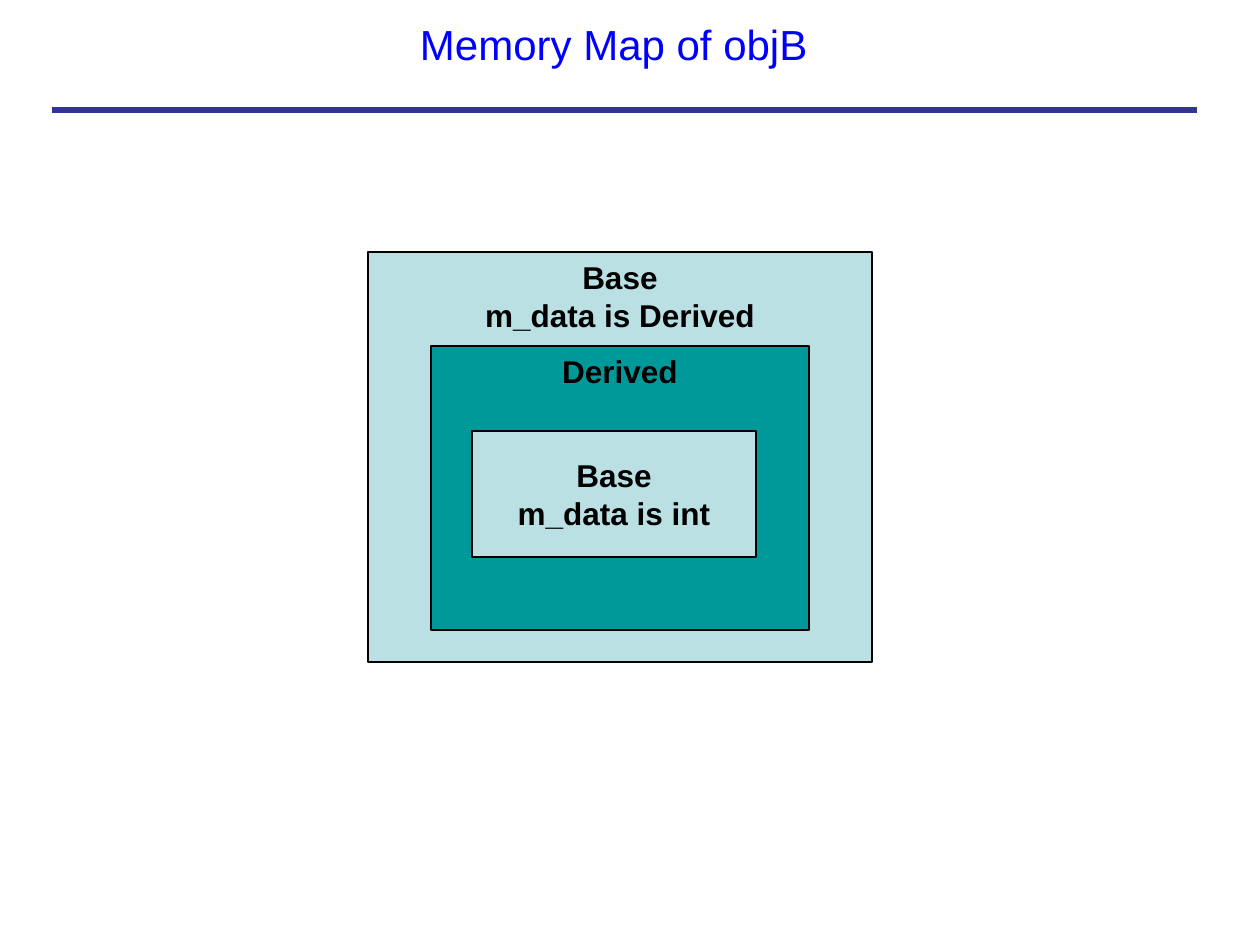
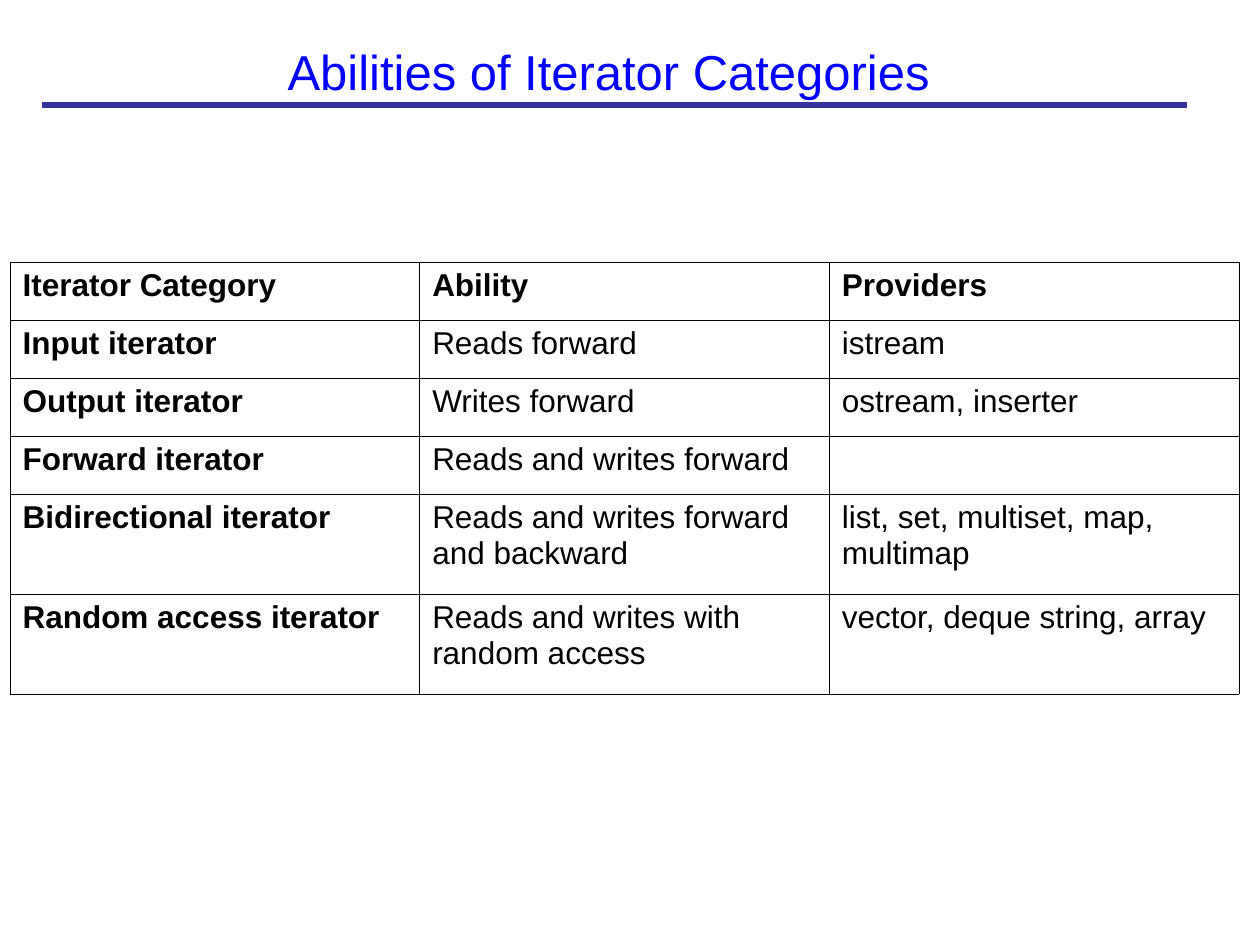
from dataclasses import dataclass

from lxml.etree import SubElement as Sub
from pptx import Presentation
from pptx.dml.color import RGBColor as Rgb
from pptx.enum.shapes import MSO_CONNECTOR as Link, MSO_SHAPE as Kind
from pptx.enum.text import MSO_ANCHOR as Anchor, MSO_AUTO_SIZE as Fit, PP_ALIGN as Align
from pptx.oxml.ns import qn
from pptx.slide import Slide
from pptx.util import Emu, Pt

DPI = 126
FONT = "Arial"
HUES = {
    "title": "0000FF",
    "rule": "333399",
    "base": "BBE0E3",
    "derived": "009999",
    "ink": "000000",
    "paper": "FFFFFF",
}


@dataclass(frozen=True)
class Area:
    x: int
    y: int
    w: int
    h: int

    def emu(self) -> list[Emu]:
        return [px(v) for v in (self.x, self.y, self.w, self.h)]


@dataclass(frozen=True)
class Head:
    text: str
    area: Area
    size: int
    left: int
    rule: int


@dataclass(frozen=True)
class Block:
    text: str
    area: Area
    hue: str
    anchor: Anchor = Anchor.TOP


HEADS = [
    Head("Memory Map of objB ", Area(84, -10, 1071, 108), 24, 52, 110),
    Head("Abilities of Iterator Categories", Area(73, 42, 1071, 57), 28, 42, 105),
]
RULE_W = 1145

BLOCKS = [
    Block("Base\nm_data is Derived", Area(368, 252, 504, 410), "base"),
    Block("Derived", Area(431, 346, 378, 284), "derived"),
    Block("Base\nm_data is int", Area(472, 431, 284, 126), "base", Anchor.MIDDLE),
]

GRID = Area(10, 262, 1229, 432)
ROWS = [
    ("Iterator Category", "Ability", "Providers"),
    ("Input iterator", "Reads forward", "istream"),
    ("Output iterator", "Writes forward", "ostream, inserter"),
    ("Forward iterator", "Reads and writes forward", ""),
    ("Bidirectional iterator", "Reads and writes forward and backward",
     "list, set, multiset, map, multimap"),
    ("Random access iterator", "Reads and writes with random access",
     "vector, deque string, array"),
]
LOW, TALL = 58, 100


def px(n: int) -> Emu:
    return Emu(round(n * 914400 / DPI))


def hue(name: str) -> Rgb:
    return Rgb.from_string(HUES[name])


def write(frame, text: str, *, size: int = 18, color: str = "ink",
          bold: bool = False, align: Align = Align.LEFT) -> None:
    """Fill a text frame, one paragraph for each line of text."""
    for i, line in enumerate(text.split("\n")):
        para = frame.add_paragraph() if i else frame.paragraphs[0]
        para.alignment = align
        if not line:
            continue
        run = para.add_run()
        run.text = line
        font = run.font
        font.name, font.size, font.bold = FONT, Pt(size), bold
        font.color.rgb = hue(color)


def add_head(slide: Slide, head: Head) -> None:
    title = slide.shapes.title
    title.left, title.top, title.width, title.height = head.area.emu()
    frame = title.text_frame
    frame.auto_size = Fit.NONE
    frame.word_wrap = True
    frame.vertical_anchor = Anchor.MIDDLE
    write(frame, head.text, size=head.size, color="title", align=Align.CENTER)
    y = px(head.rule)
    rule = slide.shapes.add_connector(
        Link.STRAIGHT, px(head.left), y, px(head.left + RULE_W), y)
    rule.line.color.rgb = hue("rule")
    rule.line.width = Pt(3)
    Sub(rule._element.spPr, qn("a:effectLst"))


def add_block(slide: Slide, block: Block) -> None:
    shape = slide.shapes.add_shape(Kind.RECTANGLE, *block.area.emu())
    shape.shadow.inherit = False
    shape.fill.solid()
    shape.fill.fore_color.rgb = hue(block.hue)
    shape.line.color.rgb = hue("ink")
    shape.line.width = Pt(0.75)
    frame = shape.text_frame
    frame.word_wrap = False
    frame.vertical_anchor = block.anchor
    write(frame, block.text, bold=True, align=Align.CENTER)


def edge(cell) -> None:
    """Draw a thin line on all four sides of a cell."""
    props = cell._tc.get_or_add_tcPr()
    for side in "LRTB":
        line = Sub(props, qn(f"a:ln{side}"), w=str(Pt(0.34)))
        Sub(Sub(line, qn("a:solidFill")), qn("a:srgbClr"), val=HUES["ink"])


def add_grid(slide: Slide) -> None:
    cols = len(ROWS[0])
    table = slide.shapes.add_table(len(ROWS), cols, *GRID.emu()).table
    table.first_row = table.horz_banding = False
    for r, texts in enumerate(ROWS):
        table.rows[r].height = px(TALL if r >= 4 else LOW)
        for c, text in enumerate(texts):
            cell = table.cell(r, c)
            edge(cell)
            cell.fill.solid()
            cell.fill.fore_color.rgb = hue("paper")
            write(cell.text_frame, text, bold=r == 0 or c == 0)


def main() -> None:
    deck = Presentation()
    deck.slide_width, deck.slide_height = px(1260), px(945)
    layout = deck.slide_layouts[5]
    memory, table = [deck.slides.add_slide(layout) for _ in HEADS]
    for slide, head in zip((memory, table), HEADS):
        add_head(slide, head)
    for block in BLOCKS:
        add_block(memory, block)
    add_grid(table)
    deck.save("out.pptx")


if __name__ == "__main__":
    main()
